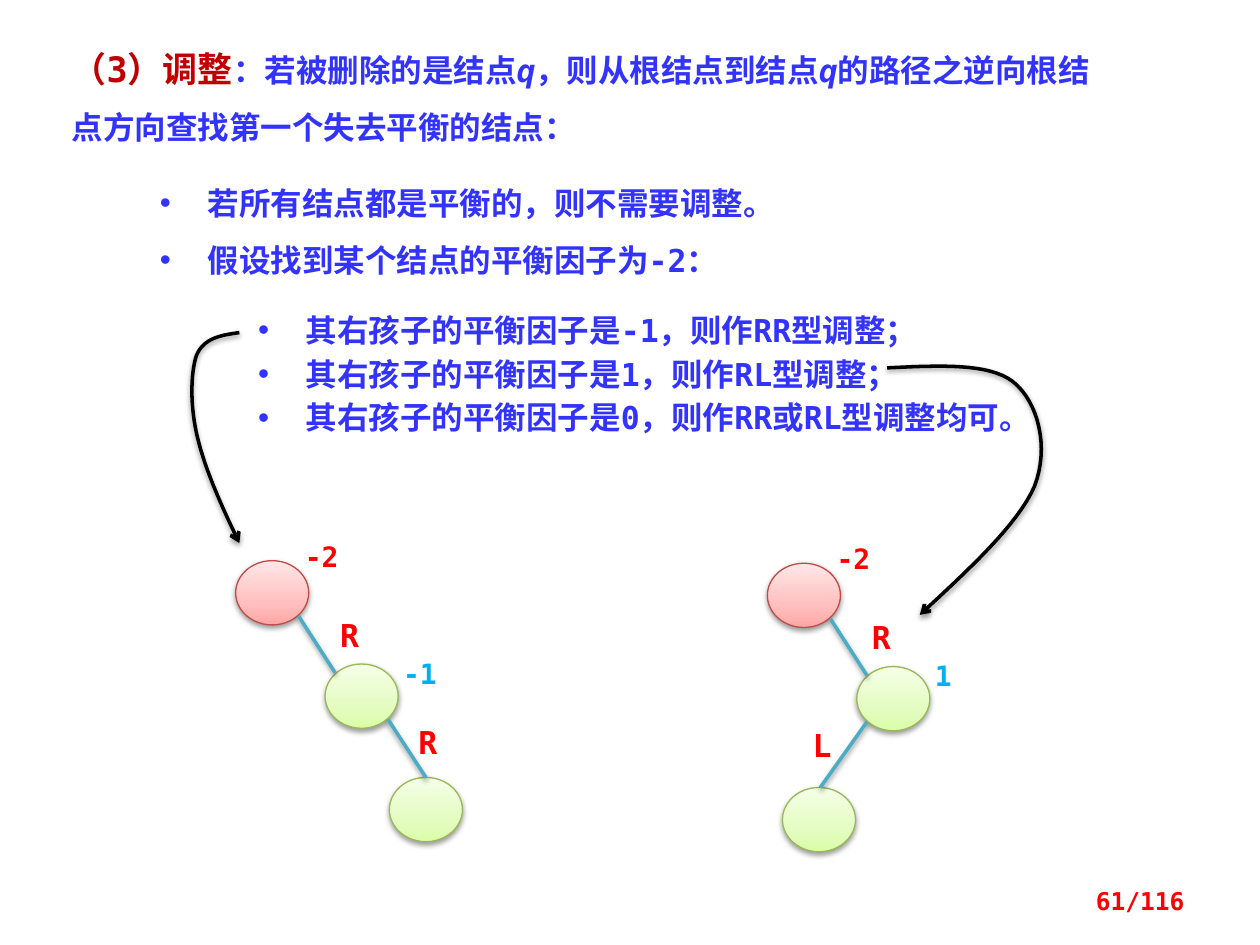
from lxml.etree import SubElement as Sub
from copy import deepcopy
from pptx import Presentation
from pptx.util import Inches, Pt
from pptx.dml.color import RGBColor
from pptx.enum.shapes import MSO_SHAPE as Shape, MSO_CONNECTOR as Link
from pptx.enum.text import PP_ALIGN as Align, MSO_ANCHOR as Anchor, MSO_AUTO_SIZE as Fit
from pptx.oxml.ns import qn

RED = RGBColor(0xFF, 0x00, 0x00)
DARK = RGBColor(0xC0, 0x00, 0x00)
BLUE = RGBColor(0x33, 0x33, 0xFF)
SKY = RGBColor(0x00, 0xB0, 0xF0)
TEAL = RGBColor(0x4B, 0xAC, 0xC6)
BLACK = RGBColor(0x00, 0x00, 0x00)
WHITE = RGBColor(0xFF, 0xFF, 0xFF)
PINK = [RGBColor(0xFF, 0xA6, 0xA5), RGBColor(0xFF, 0xC0, 0xBF), RGBColor(0xFF, 0xE7, 0xE7)]
LIME = [RGBColor(0xDA, 0xFD, 0xA7), RGBColor(0xE4, 0xFC, 0xC2), RGBColor(0xF5, 0xFF, 0xE7)]
ROSE = RGBColor(0xBF, 0x4C, 0x48)
MOSS = RGBColor(0x98, 0xB9, 0x55)
FONT = "DejaVu Sans Mono"

deck = Presentation()
deck.slide_width, deck.slide_height = Inches(10), Inches(7.5)
COL = deck.slide_width / 100
ROW = deck.slide_height / 75
slide = deck.slides.add_slide(deck.slide_layouts[6])


def write(box, lines, size, color, align=Align.LEFT, space=None, pad=None):
    frame = box.text_frame
    frame.word_wrap = True
    frame.vertical_anchor = Anchor.TOP
    if pad is not None:
        frame.margin_left = frame.margin_right = pad
        frame.margin_top = frame.margin_bottom = pad
    frame.text = "\n".join(lines)
    for para in frame.paragraphs:
        para.alignment = align
        if space:
            para.line_spacing = space
            frame.auto_size = Fit.SHAPE_TO_FIT_TEXT
            props = para._p.get_or_add_pPr()
            props.set("marL", str(Inches(0.38)))
            props.set("indent", str(-Inches(0.38)))
            Sub(props, qn("a:buFont"), typeface="Arial")
            Sub(props, qn("a:buChar"), char="•")
        for run in para.runs:
            font = run.font
            font.name, font.size, font.bold = FONT, Pt(size), True
            font.color.rgb = color


def shade(item):
    glow = Sub(item._element.spPr, qn("a:effectLst"))
    drop = Sub(glow, qn("a:outerShdw"), blurRad=str(Pt(3.1)), dist=str(Pt(1.6)),
               dir="5400000", rotWithShape="0")
    tint = Sub(drop, qn("a:srgbClr"), val="000000")
    Sub(tint, qn("a:alpha"), val="38000")


title = slide.shapes.add_textbox(4.7 * COL, 1.6 * ROW, 83.6 * COL, 10.6 * ROW)
title.text_frame.word_wrap = True
title.text_frame.auto_size = Fit.SHAPE_TO_FIT_TEXT
head = title.text_frame.paragraphs[0]
head.line_spacing = 1.5
for text, size, color in [
    ("（3）调整", 20, DARK),
    ("：若被删除的是结点", 18, BLUE),
    ("q", 18, BLUE),
    ("，则从根结点到结点", 18, BLUE),
    ("q", 18, BLUE),
    ("的路径之逆向根结点方向查找第一个失去平衡的结点：", 18, BLUE),
]:
    run = head.add_run()
    run.text = text
    font = run.font
    font.name, font.size, font.bold = FONT, Pt(size), True
    font.italic = text == "q"
    font.color.rgb = color

rules = slide.shapes.add_textbox(11.7 * COL, 12.6 * ROW, 57 * COL, 10.1 * ROW)
write(rules, ["若所有结点都是平衡的，则不需要调整。", "假设找到某个结点的平衡因子为-2："], 18, BLUE, space=1.5)

trees = [
    (18.7, 44.5, "-1", "R", 30.9, 61.7, 30.8, 33.8, 32),
    (60.9, 44.7, "1", "L", 62.1, 62.5, 68.8, 65.1, 63.3),
]
for left, top, mark, turn, leaf, low, start, end, side in trees:
    group = slide.shapes.add_group_shape().shapes
    for x, y, tones, edge in [
        (left, top, PINK, ROSE),
        (left + 7.1, top + 8.2, LIME, MOSS),
        (leaf, low, LIME, MOSS),
    ]:
        node = group.add_shape(Shape.OVAL, x * COL, y * ROW, 5.8 * COL, 5.1 * ROW)
        node.fill.gradient()
        node.fill.gradient_angle = 90
        stops = node._element.spPr.find(qn("a:gradFill")).find(qn("a:gsLst"))
        stops.insert(1, deepcopy(stops[0]))
        for stop, tone, share in zip(node.fill.gradient_stops, tones, (0, 0.35, 1)):
            stop.color.rgb, stop.position = tone, share
        node.line.color.rgb, node.line.width = edge, Pt(0.75)
        shade(node)
    for x, y, to, down in [
        (left + 5, top + 4.4, left + 7.9, top + 8.9),
        (start, top + 12.6, end, low),
    ]:
        link = group.add_connector(Link.STRAIGHT, int(x * COL), int(y * ROW), int(to * COL), int(down * ROW))
        link.line.color.rgb, link.line.width = TEAL, Pt(2)
        shade(link)
    for x, y, text, color in [
        (left + 5.5, top - 1.7, "-2", RED),
        (left + 13.3, top + 7.6, mark, SKY),
    ]:
        write(group.add_textbox(x * COL, y * ROW, 3.6 * COL, 3.3 * ROW), [text], 16, color, pad=0)
    for x, y, text in [(left + 7.1, top + 3.9, "R"), (side, top + 12.4, turn)]:
        write(group.add_textbox(x * COL, y * ROW, 3.9 * COL, 4 * ROW), [text], 18, RED, Align.CENTER)

cases = slide.shapes.add_shape(Shape.RECTANGLE, 19.5 * COL, 23.4 * ROW, 64.1 * COL, 12.1 * ROW)
cases.shadow.inherit = False
cases.fill.solid()
cases.fill.fore_color.rgb = WHITE
cases.line.fill.background()
write(cases, [
    "其右孩子的平衡因子是-1，则作RR型调整；",
    "其右孩子的平衡因子是1，则作RL型调整；",
    "其右孩子的平衡因子是0，则作RR或RL型调整均可。",
], 18, BLUE, space=Pt(25), pad=Inches(0.08))
cases.text_frame.margin_left = cases.text_frame.margin_right = Inches(0.1)

curves = [
    [(19, 26.4), (17.6, 26.6), (16.2, 26.8), (15.6, 28.2), (15.1, 29.7),
     (15.1, 32.4), (15.7, 34.8), (16.3, 37.3), (17.6, 40.2), (19, 43.1)],
    [(70.4, 29.2), (74.5, 29), (78.5, 28.8), (80.4, 30.3), (82.4, 31.9),
     (83.3, 35.5), (82.1, 38.6), (80.8, 41.6), (76.9, 45.2), (73, 48.8)],
]
STEPS = 16
for knots in curves:
    dots = []
    for k in range(0, 9, 3):
        for n in range(1, STEPS + 1):
            t = n / STEPS
            parts = ((1 - t) ** 3, 3 * t * (1 - t) ** 2, 3 * t * t * (1 - t), t ** 3)
            x, y = (sum(p * dot[i] for p, dot in zip(parts, knots[k:k + 4])) for i in (0, 1))
            dots.append((x * COL, y * ROW))
    pen = slide.shapes.build_freeform(int(knots[0][0] * COL), int(knots[0][1] * ROW))
    pen.add_line_segments(dots, close=False)
    curve = pen.convert_to_shape()
    curve.fill.background()
    curve.line.color.rgb, curve.line.width = BLACK, Pt(2)
    Sub(curve.line._get_or_add_ln(), qn("a:tailEnd"), type="arrow")
    shade(curve)

page = slide.shapes.add_textbox(71.7 * COL, 69.5 * ROW, 23.3 * COL, 4 * ROW)
write(page, ["61/116"], 14, RED, Align.RIGHT)
page.text_frame.vertical_anchor = Anchor.MIDDLE

deck.save("out.pptx")
